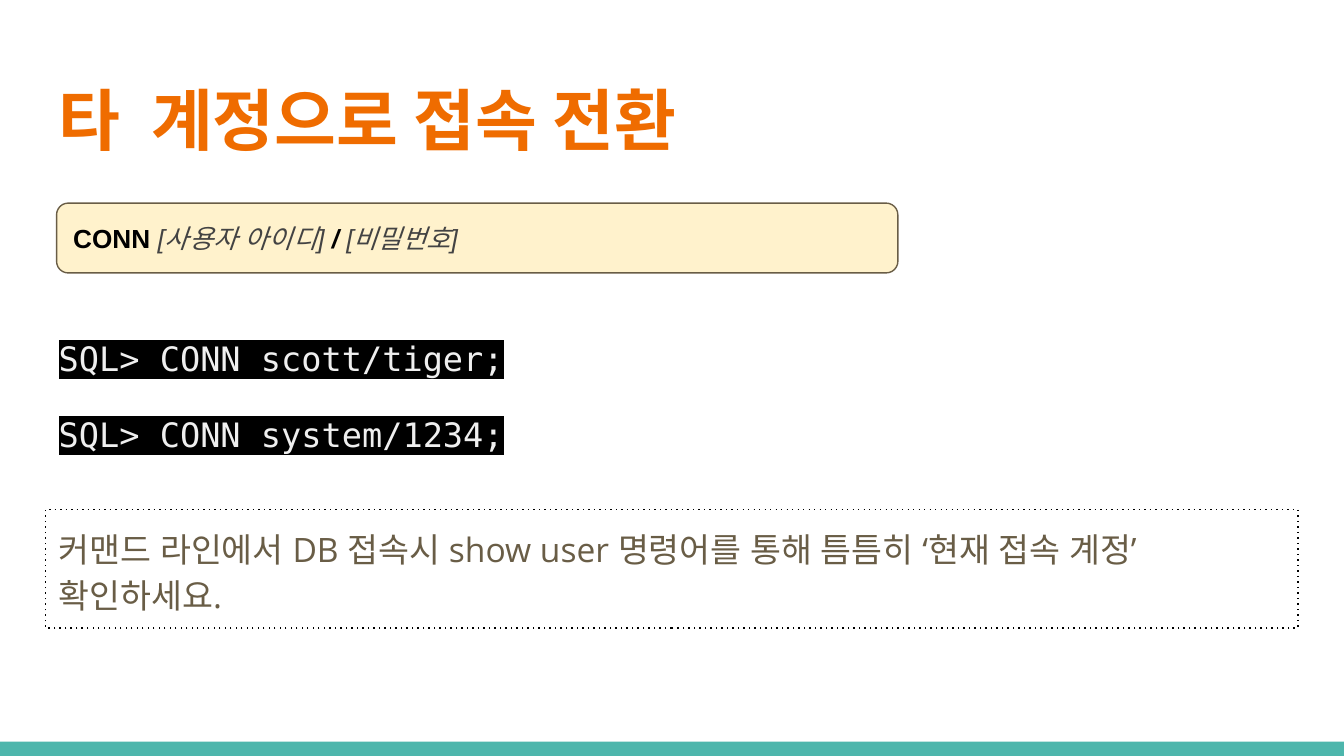
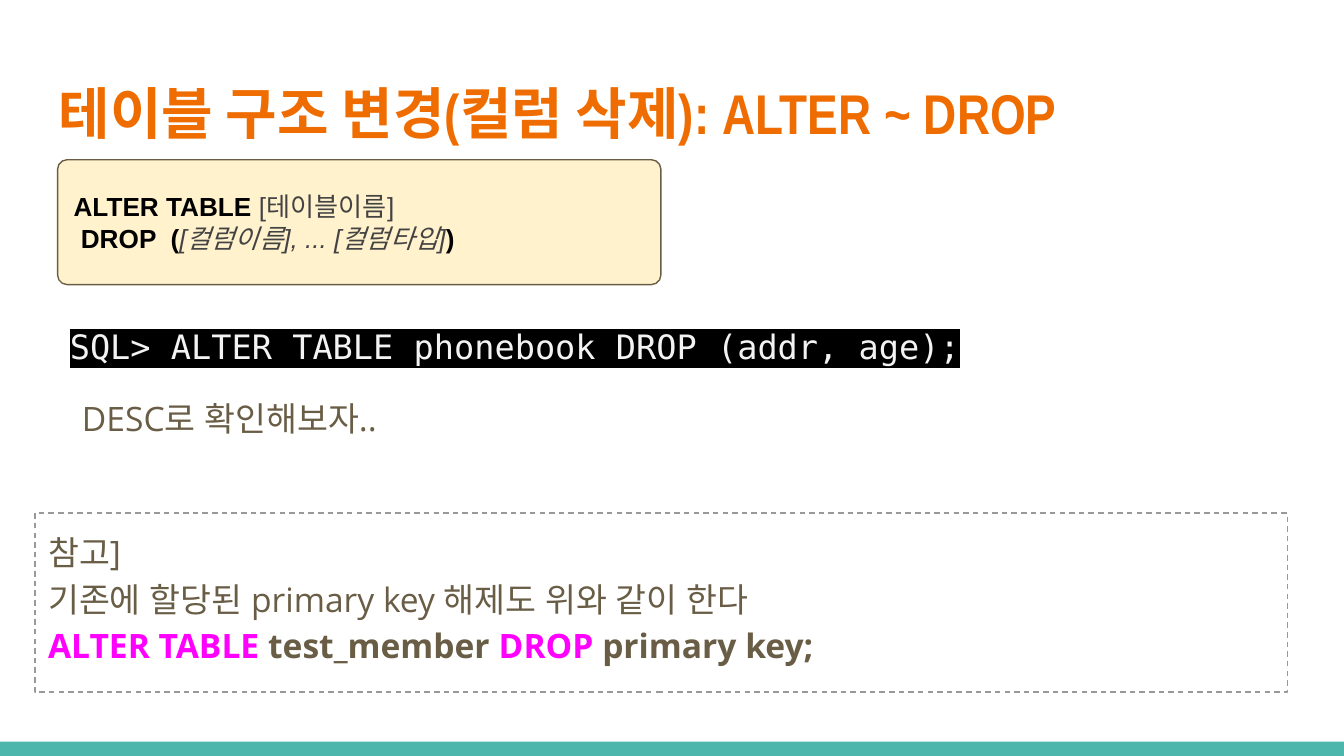
import dataclasses

import lxml.etree
import pptx
import pptx.dml.color
import pptx.enum.shapes
import pptx.enum.text
import pptx.oxml.ns
import pptx.util
from pptx.util import Cm


@dataclasses.dataclass(frozen=True)
class Style:
    """Character formatting for a stretch of text."""
    typeface: str
    size: int
    color: str
    bold: bool = False
    italic: bool = False
    highlight: str = ""


class Theme:
    """Colours, measures and text styles that the slides share."""
    width, height = Cm(25.4), Cm(14.29)
    band_height = Cm(0.27)
    left, content_width = Cm(0.86), Cm(23.67)
    inset = Cm(0.25)
    line_width = pptx.util.Pt(0.75)
    body_spacing = 1.15
    paragraph_gap = pptx.util.Pt(16)
    teal, cream, brown = "4DB6AC", "FFF2CC", "695D46"
    black, gray = "000000", "999999"
    title = Style("Arial Narrow", 36, "EF6C00", bold=True)
    long_title = dataclasses.replace(title, size=30)
    keyword = Style("Arial", 14, black, bold=True)
    slash = dataclasses.replace(keyword, italic=True)
    argument = Style("Arial", 14, "434343")
    slanted_argument = dataclasses.replace(argument, italic=True)
    code = Style("DejaVu Sans Mono", 18, "EFEFEF", highlight=black)
    light_code = dataclasses.replace(code, color="F3F3F3")
    body = Style("Open Sans", 18, brown)
    strong = dataclasses.replace(body, bold=True)
    command = dataclasses.replace(strong, color="FF00FF")


def rgb(color):
    """Turn a hexadecimal string into a colour."""
    return pptx.dml.color.RGBColor.from_string(color)


def add_element(parent, tag, **attributes):
    """Append a drawing element to a parent."""
    return lxml.etree.SubElement(parent, pptx.oxml.ns.qn(tag), attributes)


def apply_style(font, style):
    """Set a font's typeface, size, colour and emphasis."""
    font.name = style.typeface
    font.size = pptx.util.Pt(style.size)
    font.bold = style.bold
    font.italic = style.italic
    font.color.rgb = rgb(style.color)


def add_run(paragraph, text, style, base):
    """Add text, formatting the run only where it differs from its paragraph."""
    for index, line in enumerate(text.split("\n")):
        if index:
            paragraph.add_line_break()
        if not line:
            continue
        run = paragraph.add_run()
        run.text = line
        if style.highlight:
            highlight = add_element(run._r.get_or_add_rPr(), "a:highlight")
            add_element(highlight, "a:srgbClr", val=style.highlight)
        if style != base:
            apply_style(run.font, style)


def write_text(shape, paragraphs, spacing=None):
    """Fill a shape with paragraphs, each a list of (text, style) runs."""
    frame = shape.text_frame
    frame.word_wrap = True
    frame.margin_left = frame.margin_right = Theme.inset
    frame.margin_top = frame.margin_bottom = Theme.inset
    for index, runs in enumerate(paragraphs):
        paragraph = frame.add_paragraph() if index else frame.paragraphs[0]
        paragraph.alignment = pptx.enum.text.PP_ALIGN.LEFT
        paragraph.line_spacing = spacing
        if index:
            paragraph.space_before = Theme.paragraph_gap
        base = runs[0][1]
        apply_style(paragraph.font, base)
        properties = paragraph._p.pPr.find(pptx.oxml.ns.qn("a:defRPr"))
        add_element(properties, "a:ea", typeface=base.typeface)
        for text, style in runs:
            add_run(paragraph, text, style, base)


def add_text(slide, left, top, width, height, paragraphs, spacing=None):
    """Add a text box."""
    box = slide.shapes.add_textbox(left, top, width, height)
    write_text(box, paragraphs, spacing)
    return box


def add_note(slide, left, top, height, runs, color, dash):
    """Add a note with a broken outline."""
    note = add_text(slide, left, top, Theme.content_width, height, [runs], Theme.body_spacing)
    note.line.color.rgb = rgb(color)
    note.line.width = Theme.line_width
    outline = note.element.spPr.find(pptx.oxml.ns.qn("a:ln"))
    add_element(outline, "a:prstDash", val=dash)


def add_filled_shape(slide, kind, left, top, width, height, color):
    """Add a flat shape without outline or shadow."""
    shape = slide.shapes.add_shape(kind, left, top, width, height)
    shape.shadow.inherit = False
    shape.fill.solid()
    shape.fill.fore_color.rgb = rgb(color)
    shape.line.fill.background()
    return shape


def add_syntax_box(slide, left, top, width, height, corner, runs):
    """Add a rounded box that shows a command's syntax."""
    kind = pptx.enum.shapes.MSO_SHAPE.ROUNDED_RECTANGLE
    box = add_filled_shape(slide, kind, left, top, width, height, Theme.cream)
    box.adjustments[0] = corner
    box.line.color.rgb = rgb(Theme.brown)
    box.line.width = Theme.line_width
    box.text_frame.vertical_anchor = pptx.enum.text.MSO_ANCHOR.MIDDLE
    write_text(box, [runs])


def add_slide(presentation, title, style):
    """Add a blank slide with the bottom band and a title."""
    slide = presentation.slides.add_slide(presentation.slide_layouts[6])
    add_filled_shape(slide, pptx.enum.shapes.MSO_SHAPE.RECTANGLE, 0, Theme.height - Theme.band_height,
                     Theme.width, Theme.band_height, Theme.teal)
    add_text(slide, Theme.left, Cm(1.24), Theme.content_width, Cm(1.96), [[(title, style)]])
    return slide


def build_connection_slide(presentation):
    """Show how to connect as another account."""
    slide = add_slide(presentation, "타  계정으로 접속 전환", Theme.title)
    statements = ["SQL> CONN scott/tiger;", "SQL> CONN system/1234;"]
    add_text(slide, Theme.left, Cm(6.02), Theme.content_width, Cm(3.71),
             [[(statement, Theme.code)] for statement in statements], Theme.body_spacing)
    add_note(slide, Theme.left, Cm(9.63), Cm(2.24), [
        ("커맨드 라인에서 DB 접속시 show user 명령어를 통해 틈틈히 ‘현재 접속 계정’ 확인하세요.", Theme.body),
    ], Theme.black, "dot")
    add_syntax_box(slide, Cm(1.07), Cm(3.84), Cm(15.9), Cm(1.32), 0.167, [
        ("CONN ", Theme.keyword),
        ("[사용자 아이디] ", Theme.slanted_argument),
        ("/ ", Theme.slash),
        ("[비밀번호]", Theme.slanted_argument),
    ])


def build_drop_column_slide(presentation):
    """Show how to drop table columns."""
    slide = add_slide(presentation, "테이블 구조 변경(컬럼 삭제): ALTER ~ DROP", Theme.long_title)
    add_text(slide, Cm(1.3), Cm(7.16), Theme.content_width, Cm(1.65),
             [[("DESC로 확인해보자..", Theme.body)]], Theme.body_spacing)
    add_note(slide, Cm(0.66), Cm(9.7), Cm(3.38), [
        ("참고]\n기존에 할당된 primary key 해제도 위와 같이 한다\n", Theme.body),
        ("ALTER TABLE", Theme.command),
        (" test_member ", Theme.strong),
        ("DROP ", Theme.command),
        ("primary key;", Theme.strong),
    ], Theme.gray, "dash")
    add_syntax_box(slide, Cm(1.09), Cm(3.02), Cm(11.4), Cm(2.36), 0.075, [
        ("ALTER TABLE ", Theme.keyword),
        ("[테이블이름] \n ", Theme.argument),
        ("DROP  (", Theme.keyword),
        ("[컬럼이름], ... [컬럼타입]", Theme.slanted_argument),
        (")", Theme.keyword),
    ])
    add_text(slide, Cm(1.07), Cm(5.92), Cm(18.29), Cm(1.4),
             [[("SQL> ALTER TABLE phonebook DROP (addr, age);", Theme.light_code)]])


def main():
    """Build and save the presentation."""
    presentation = pptx.Presentation()
    presentation.slide_width, presentation.slide_height = Theme.width, Theme.height
    build_connection_slide(presentation)
    build_drop_column_slide(presentation)
    presentation.save("out.pptx")


if __name__ == "__main__":
    main()
